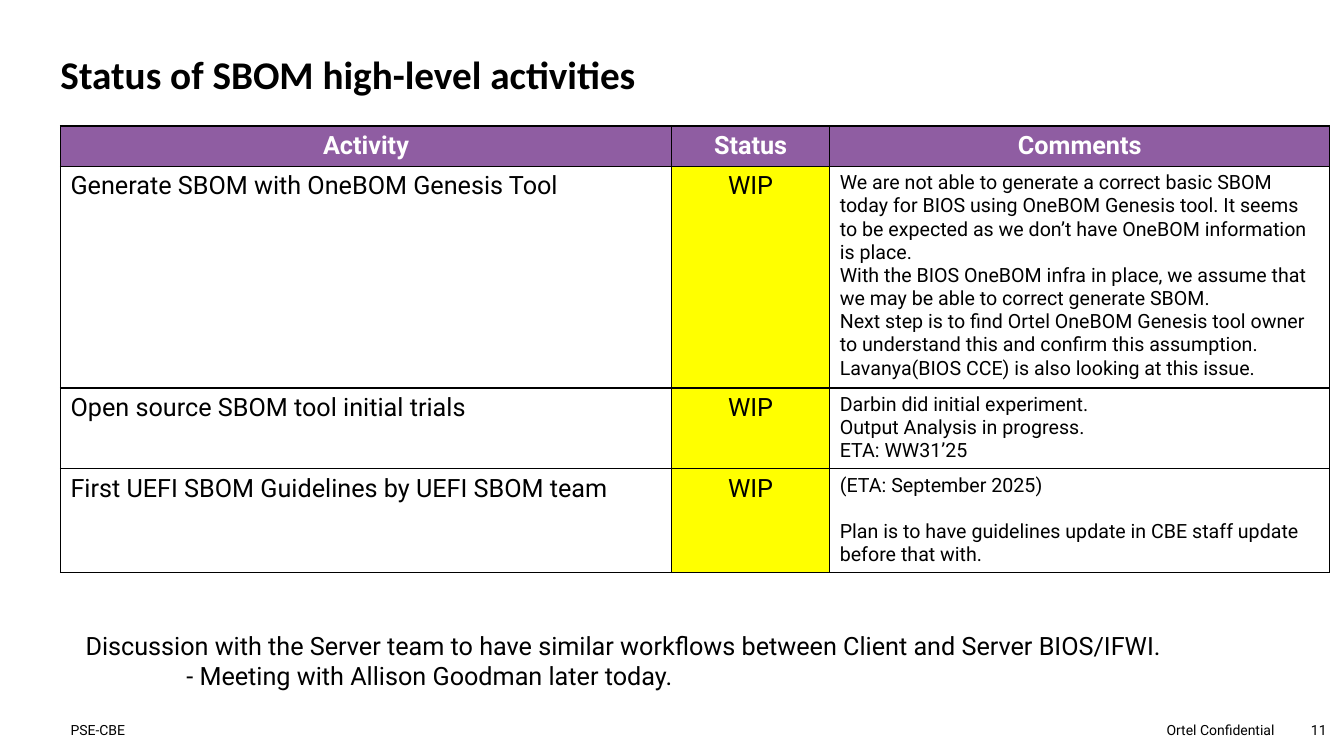
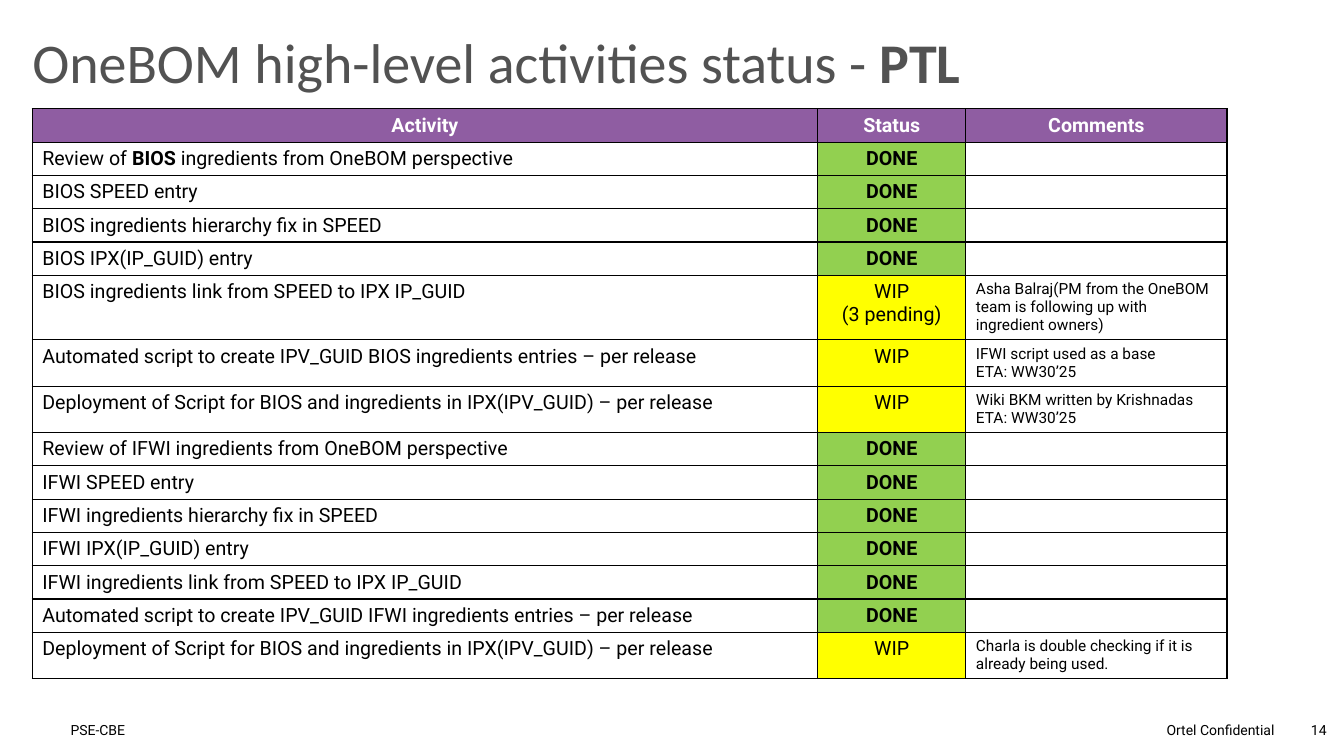
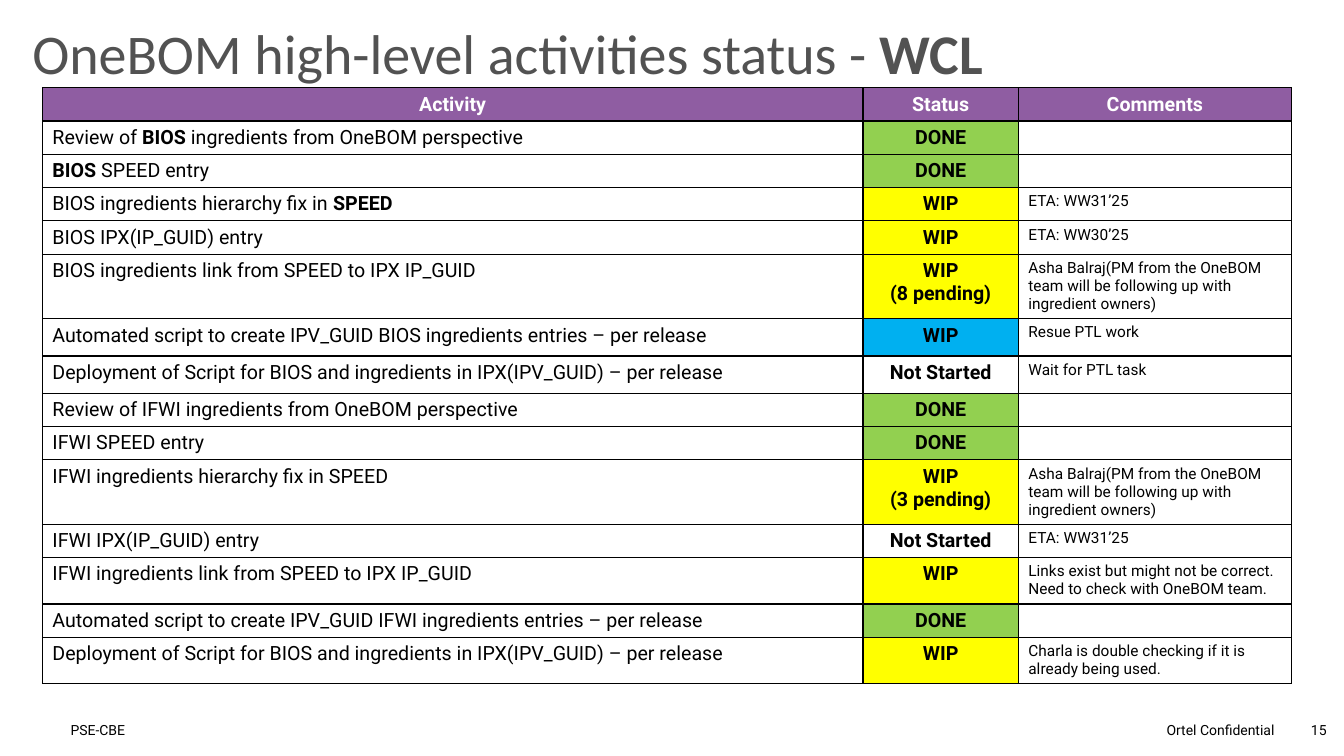
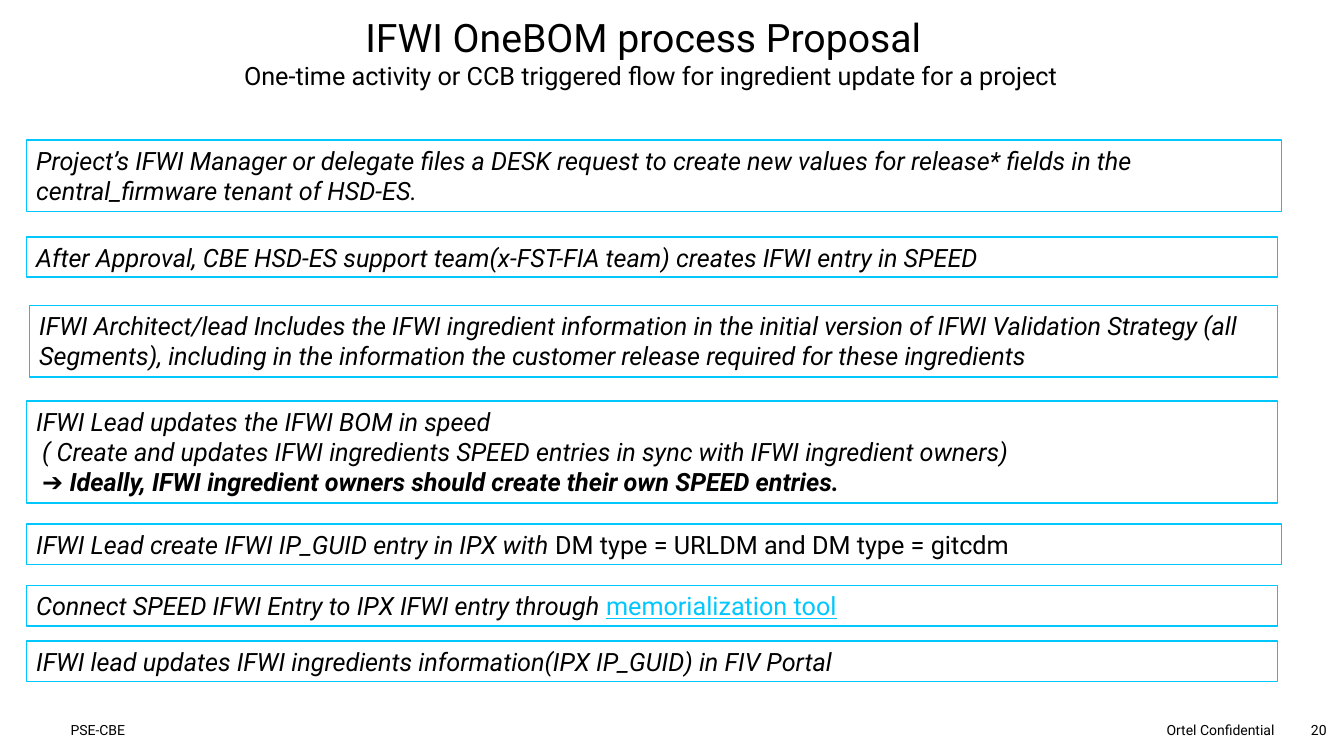
from lxml.etree import SubElement
from pptx import Presentation
from pptx.dml.color import RGBColor
from pptx.enum.shapes import MSO_SHAPE
from pptx.enum.text import MSO_ANCHOR, MSO_AUTO_SIZE, PP_ALIGN
from pptx.oxml import parse_xml
from pptx.oxml.ns import nsdecls, qn
from pptx.util import Emu, Pt

PX = 9144
BLACK = RGBColor(0x00, 0x00, 0x00)
WHITE = RGBColor(0xFF, 0xFF, 0xFF)
GRAY = RGBColor(0x52, 0x52, 0x52)
PURPLE = RGBColor(0x8F, 0x5D, 0xA2)
YELLOW = RGBColor(0xFF, 0xFF, 0x00)
GREEN = RGBColor(0x92, 0xD0, 0x50)
BLUE = RGBColor(0x00, 0xB0, 0xF0)
CYAN = RGBColor(0x00, 0xC7, 0xFD)
STATUS_FILLS = {"DONE": GREEN, "WIP": YELLOW, "Not Started": WHITE, "Reuse": BLUE}
HEADERS = ("Activity", "Status", "Comments")
INGREDIENT_STEPS = (
    "Review of {} ingredients from OneBOM perspective",
    "{} SPEED entry",
    "{} ingredients hierarchy fix in SPEED",
    "{} IPX(IP_GUID) entry",
    "{} ingredients link from SPEED to IPX IP_GUID",
    "Automated script to create IPV_GUID {} ingredients entries – per release",
    "Deployment of Script for BIOS and ingredients in IPX(IPV_GUID) – per release",
)


def px(*lengths):
    """Turn pixel lengths into EMU."""
    return [Emu(n * PX) for n in lengths]


def write(tf, text, size=18, color=BLACK, font="Roboto", bold=False, italic=False,
          align=PP_ALIGN.LEFT, spacing=None, indent=0, tail="", tail_color=BLACK,
          tail_underline=False):
    """Write lines, with ** around bold words, an indent after line one and an upright tail."""
    lines = text.split("\n")
    for i, line in enumerate(lines):
        p = tf.paragraphs[0] if i == 0 else tf.add_paragraph()
        p.alignment = align
        if spacing:
            p.line_spacing = spacing
        if i and indent:
            p._p.get_or_add_pPr().set("marL", str(indent * PX))
        parts = [(part, bold or n % 2 == 1, italic, color, False)
                 for n, part in enumerate(line.split("**")) if part]
        if tail and i == len(lines) - 1:
            parts.append((tail, bold, False, tail_color, tail_underline))
        for part, strong, slanted, ink, underline in parts:
            r = p.add_run()
            r.text = part
            f = r.font
            f.name, f.size, f.bold, f.italic = font, Pt(size), strong, slanted
            f.color.rgb = ink
            if underline:
                f.underline = True
        if not parts:
            SubElement(p._p, qn("a:endParaRPr"), sz=str(size * 100))


class Deck:
    """Holds the presentation, its style and the current slide."""

    def __init__(self):
        """Start an empty wide presentation."""
        self.prs = Presentation()
        self.prs.slide_width, self.prs.slide_height = px(1333, 750)
        self.s = None

    def slide(self, number, title, box, **fmt):
        """Add a slide with its title and footer."""
        self.s = self.prs.slides.add_slide(self.prs.slide_layouts[5])
        self.title(title, box, **fmt)
        self.text("PSE-CBE", (70, 712, 400, 25), 0, size=10)
        self.text("Ortel Confidential", (1114, 712, 150, 25), 0, size=10, align=PP_ALIGN.RIGHT)
        self.text(str(number), (1294, 712, 28, 25), 0, size=10, align=PP_ALIGN.CENTER)

    def frame(self, sp, inset, anchor):
        """Set the insets, anchor and wrapping of a shape's text."""
        tf = sp.text_frame
        tf.word_wrap = True
        tf.auto_size = MSO_AUTO_SIZE.NONE
        tf.vertical_anchor = anchor
        tf.margin_left, tf.margin_right = px(inset, inset)
        tf.margin_top, tf.margin_bottom = px(inset // 2, inset // 2)
        return tf

    def title(self, text, box, **fmt):
        """Place and fill the title placeholder."""
        sp = self.s.shapes.title
        sp.left, sp.top, sp.width, sp.height = px(*box)
        write(self.frame(sp, 0, MSO_ANCHOR.BOTTOM), text, **fmt)

    def text(self, text, box, inset=10, **fmt):
        """Add a text box."""
        sp = self.s.shapes.add_textbox(*px(*box))
        write(self.frame(sp, inset, MSO_ANCHOR.MIDDLE), text, **fmt)

    def step(self, text, box, **fmt):
        """Add an outlined process step."""
        sp = self.s.shapes.add_shape(MSO_SHAPE.RECTANGLE, *px(*box))
        sp.shadow.inherit = False
        sp.fill.solid()
        sp.fill.fore_color.rgb = WHITE
        sp.line.color.rgb = CYAN
        sp.line.width = Pt(1)
        write(self.frame(sp, 10, MSO_ANCHOR.TOP), text, italic=True, **fmt)

    def cell(self, cell, text, fill=None, **fmt):
        """Fill one table cell and draw its borders."""
        if fill is None:
            cell.fill.background()
        else:
            cell.fill.solid()
            cell.fill.fore_color.rgb = fill
        tcPr = cell._tc.get_or_add_tcPr()
        for i, side in enumerate("LRTB"):
            tcPr.insert(i, parse_xml(
                f'<a:ln{side} {nsdecls("a")} w="12700"><a:solidFill>'
                f'<a:srgbClr val="{BLACK}"/></a:solidFill></a:ln{side}>'))
        write(cell.text_frame, text, **fmt)

    def status_table(self, left, top, widths, rows, size, note_size, header_height,
                     bold_status=("DONE",)):
        """Add a table from rows of activity, status, comment, height and status kind."""
        heights = [header_height] + [row[3] for row in rows]
        box = px(left, top, sum(widths), sum(heights))
        table = self.s.shapes.add_table(len(heights), len(widths), *box).table
        table.first_row = table.horz_banding = False
        for column, width in zip(table.columns, widths):
            column.width = Emu(width * PX)
        for row, height in zip(table.rows, heights):
            row.height = Emu(height * PX)
        for c, header in enumerate(HEADERS):
            self.cell(table.cell(0, c), header, PURPLE, size=size, color=WHITE, bold=True,
                      align=PP_ALIGN.CENTER)
        for i, (activity, status, comment, _, kind) in enumerate(rows, 1):
            self.cell(table.cell(i, 0), activity, size=size)
            self.cell(table.cell(i, 1), status, STATUS_FILLS[kind], size=size,
                      bold=kind in bold_status, align=PP_ALIGN.CENTER)
            self.cell(table.cell(i, 2), comment, size=note_size)
        return table


def ingredient_rows(statuses, bold_words):
    """Join the BIOS and IFWI steps with (kind, comment, height, pending) entries."""
    steps = [step.format(part) for part in ("BIOS", "IFWI") for step in INGREDIENT_STEPS]
    rows = []
    for i, (step, (kind, comment, height, pending)) in enumerate(zip(steps, statuses)):
        if i in bold_words:
            step = step.replace(bold_words[i], f"**{bold_words[i]}**")
        status = "WIP" if kind == "Reuse" else kind
        if pending:
            status += f"\n({pending} pending)"
        rows.append((step, status, comment, height, kind))
    return rows


def activities_slide(deck):
    """Build the SBOM status slide."""
    deck.slide(11, "Status of SBOM high-level activities", (60, 27, 964, 70),
               size=28, font="Calibri", bold=True, spacing=0.9)
    rows = [
        ("Generate SBOM with OneBOM Genesis Tool", "WIP",
         "We are not able to generate a correct basic SBOM today for BIOS using OneBOM Genesis "
         "tool. It seems to be expected as we don’t have OneBOM information is place.\n"
         "With the BIOS OneBOM infra in place, we assume that we may be able to correct "
         "generate SBOM.\n"
         "Next step is to find Ortel OneBOM Genesis tool owner to understand this and confirm "
         "this assumption.\n"
         "Lavanya(BIOS CCE) is also looking at this issue.", 220, "WIP"),
        ("Open source SBOM tool initial trials", "WIP",
         "Darbin did initial experiment.\nOutput Analysis in progress.\nETA: WW31’25", 80, "WIP"),
        ("First UEFI SBOM Guidelines by UEFI SBOM team", "WIP",
         "(ETA: September 2025)\n"
         "Plan is to have guidelines update in CBE staff update before that with.", 103, "WIP"),
    ]
    table = deck.status_table(60, 125, (606, 157, 496), rows, 18, 14, 40)
    table.cell(3, 2).text_frame.paragraphs[1].space_before = Pt(16.5)
    deck.text("Discussion with the Server team to have similar workflows between Client and "
              "Server BIOS/IFWI.\n- Meeting with Allison Goodman later today.",
              (75, 620, 1183, 71), indent=100)


def project_slides(deck):
    """Build the two OneBOM project status slides."""
    style = dict(size=40, font="Calibri", color=GRAY, spacing=0.9)
    title = "OneBOM high-level activities status - **{}**"
    done = ("DONE", "", 33, 0)
    checking = ("WIP", "Charla is double checking if it is already being used.", 46, 0)
    owners = "Asha Balraj(PM from the OneBOM team {} following up with ingredient owners)"

    deck.slide(14, title.format("PTL"), (32, 9, 1204, 86), **style)
    statuses = [done] * 4 + [
        ("WIP", owners.format("is"), 64, 3),
        ("WIP", "IFWI script used as a base\nETA: WW30’25", 46, 0),
        ("WIP", "Wiki BKM written by Krishnadas\nETA: WW30’25", 46, 0),
    ] + [done] * 6 + [checking]
    deck.status_table(32, 108, (779, 147, 259), ingredient_rows(statuses, {0: "BIOS"}),
                      14, 11, 33)

    deck.slide(15, title.format("WCL"), (32, 0, 1204, 86), **style)
    statuses = [
        done, done,
        ("WIP", "ETA: WW31’25", 33, 0),
        ("WIP", "ETA: WW30’25", 33, 0),
        ("WIP", owners.format("will be"), 64, 8),
        ("Reuse", "Resue PTL work", 37, 0),
        ("Not Started", "Wait for PTL task", 37, 0),
        done, done,
        ("WIP", owners.format("will be"), 64, 3),
        ("Not Started", "ETA: WW31’25", 33, 0),
        ("WIP", "Links exist but might not be correct. Need to check with OneBOM team.", 46, 0),
        done, checking,
    ]
    rows = ingredient_rows(statuses, {0: "BIOS", 1: "BIOS", 2: "SPEED"})
    deck.status_table(42, 87, (814, 154, 271), rows, 14, 11, 33, bold_status=STATUS_FILLS)


def process_slide(deck):
    """Build the process proposal slide."""
    deck.slide(20, "IFWI OneBOM process Proposal", (0, 8, 1276, 52), size=28,
               align=PP_ALIGN.CENTER)
    deck.text("One-time activity or CCB triggered flow for ingredient update for a project",
              (197, 55, 897, 40), align=PP_ALIGN.CENTER)
    steps = [
        ((26, 139, 1245, 71),
         "Project’s IFWI Manager or delegate files a DESK request to create new values for "
         "release* fields in the central_firmware tenant of HSD-ES.", {}),
        ((26, 235, 1241, 40),
         "After Approval, CBE HSD-ES support team(x-FST-FIA team) creates IFWI entry in SPEED", {}),
        ((29, 303, 1238, 71),
         "IFWI Architect/lead Includes the IFWI ingredient information in the initial version of "
         "IFWI Validation Strategy (all Segments), including in the information the customer "
         "release required for these ingredients", {}),
        ((26, 398, 1241, 101),
         "IFWI Lead updates the IFWI BOM in speed\n"
         "( Create and updates IFWI ingredients SPEED entries in sync with IFWI ingredient "
         "owners)\n"
         "**➔ Ideally, IFWI ingredient owners should create their own SPEED entries.**",
         dict(indent=6)),
        ((26, 520, 1245, 40), "IFWI Lead create IFWI IP_GUID entry in IPX with ",
         dict(tail="DM type = URLDM and DM type = gitcdm")),
        ((26, 581, 1241, 40), "Connect SPEED IFWI Entry to IPX IFWI entry through ",
         dict(tail="memorialization tool", tail_color=CYAN, tail_underline=True)),
        ((26, 636, 1241, 40),
         "IFWI lead updates IFWI ingredients information(IPX IP_GUID) in FIV Portal", {}),
    ]
    for box, text, fmt in steps:
        deck.step(text, box, **fmt)


def main():
    """Build and save the presentation."""
    deck = Deck()
    activities_slide(deck)
    project_slides(deck)
    process_slide(deck)
    deck.prs.save("out.pptx")


if __name__ == "__main__":
    main()
